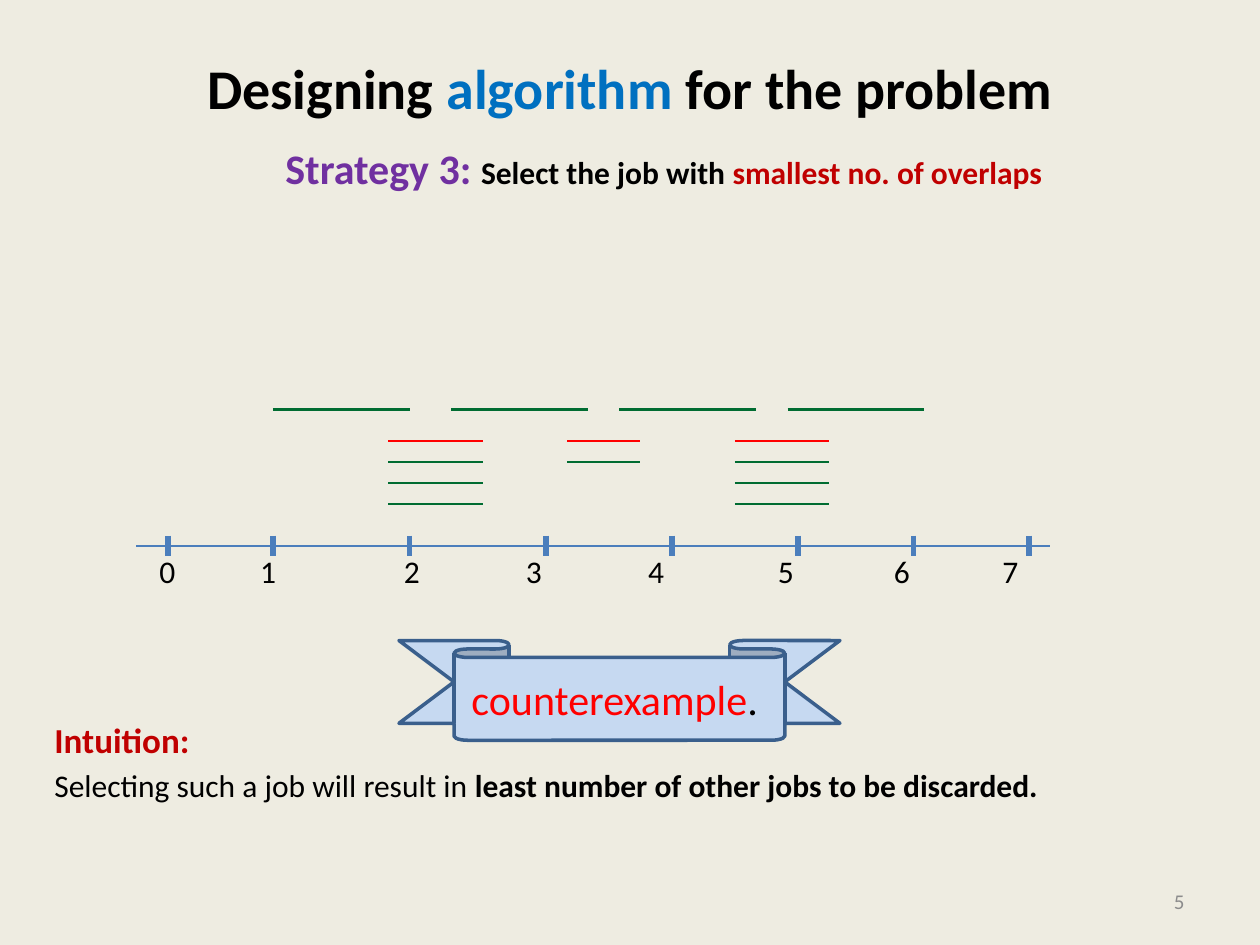
from lxml.etree import SubElement
from pptx import Presentation
from pptx.dml.color import RGBColor
from pptx.enum.shapes import MSO_CONNECTOR as Connector, MSO_SHAPE as Shape
from pptx.enum.text import MSO_ANCHOR as Anchor, PP_ALIGN as Align
from pptx.oxml.ns import qn
from pptx.util import Inches, Pt

color = RGBColor.from_string
deck = Presentation()
deck.slide_width, deck.slide_height = Inches(10), Inches(7.5)
UNIT = deck.slide_width // 120
page = deck.slides.add_slide(deck.slide_layouts[6])
page.background.fill.solid()
page.background.fill.fore_color.rgb = color("EEECE1")


def add_line(left, top, right, bottom, line_color, width):
    line = page.shapes.add_connector(
        Connector.STRAIGHT, *(round(edge * UNIT) for edge in (left, top, right, bottom)))
    line.line.color.rgb = color(line_color)
    line.line.width = Pt(width)
    SubElement(line._element.spPr, qn("a:effectLst"))


def write(paragraph, size, spans, bold=False, align=Align.LEFT):
    paragraph.alignment = align
    paragraph.font.size = Pt(size)
    paragraph.font.name = "Calibri"
    paragraph.font.bold = bold
    for text, text_color, *style in spans:
        span = paragraph.add_run()
        span.text = text
        span.font.color.rgb = color(text_color)
        if style:
            span.font.size = Pt(style[0])
            span.font.bold = style[1]


texts = [
    (6, 3.6, 108, 9.4, Anchor.MIDDLE, Align.CENTER, [
        (32, True, [("Designing ", "000000"), ("algorithm", "0070C0"),
                    (" for the problem", "000000")])]),
    (26, 13, 76, 6, Anchor.TOP, Align.LEFT, [
        (18, True, [("Strategy 3: ", "7030A0", 24, True),
                    ("Select the job with ", "000000"),
                    ("smallest no. of overlaps", "C00000")])]),
    (4, 67.8, 115, 12.6, Anchor.TOP, Align.LEFT, [
        (20, True, [("Intuition:", "C00000")]),
        (18, False, [("Selecting such a job will result in ", "000000"),
                     ("least number of other jobs to be discarded.", "000000", 18, True)])]),
    (86, 83.4, 28, 4.8, Anchor.MIDDLE, Align.RIGHT, [(12, False, [("5", "8C8C8C")])]),
    (14, 52, 86.2, 4.8, Anchor.TOP, Align.LEFT, [
        (18, False, [("\t".join(str(hour) for hour in range(8)), "000000")])]),
]
for left, top, width, height, anchor, align, paragraphs in texts:
    box = page.shapes.add_textbox(*(round(edge * UNIT) for edge in (left, top, width, height)))
    frame = box.text_frame
    frame.word_wrap = True
    frame.vertical_anchor = anchor
    for index, (size, bold, spans) in enumerate(paragraphs):
        para = frame.add_paragraph() if index else frame.paragraphs[0]
        if index:
            para.space_before = Pt(3.6)
        write(para, size, spans, bold, align)

tabs = SubElement(para._p.get_or_add_pPr(), qn("a:tabLst"))
para._p.pPr.insert(0, tabs)
for stop in (0.8, 1.94, 2.91, 3.88, 4.91, 5.83, 6.69):
    SubElement(tabs, qn("a:tab"), pos=str(Inches(stop)), algn="l")

add_line(13, 52, 100, 52, "4B7EBC", 0.75)
for tick in (16, 26, 39, 52, 64, 76, 87, 98):
    add_line(tick, 51, tick, 53, "4B7EBC", 3)

for start in (26, 43, 59, 75):
    add_line(start, 39, start + 13, 39, "006C31", 1.5)
for start, end, jobs in ((37, 46, 4), (54, 61, 2), (70, 79, 4)):
    for row in range(jobs):
        add_line(start, 42 + 2 * row, end, 42 + 2 * row, "006C31" if row else "FF0000", 1.5)

ribbon = page.shapes.add_shape(Shape.DOWN_RIBBON, 38 * UNIT, 61 * UNIT, 42 * UNIT, round(9.5 * UNIT))
ribbon.adjustments[0], ribbon.adjustments[1] = 0.17, 0.75
ribbon.shadow.inherit = False
ribbon.fill.solid()
ribbon.fill.fore_color.rgb = color("C6D9F1")
ribbon.line.color.rgb = color("3A5F8C")
ribbon.line.width = Pt(2)
ribbon.text_frame.vertical_anchor = Anchor.MIDDLE
write(ribbon.text_frame.paragraphs[0], 24,
      [("counterexample", "FF0000"), (". ", "000000")], align=Align.CENTER)

deck.save("out.pptx")
